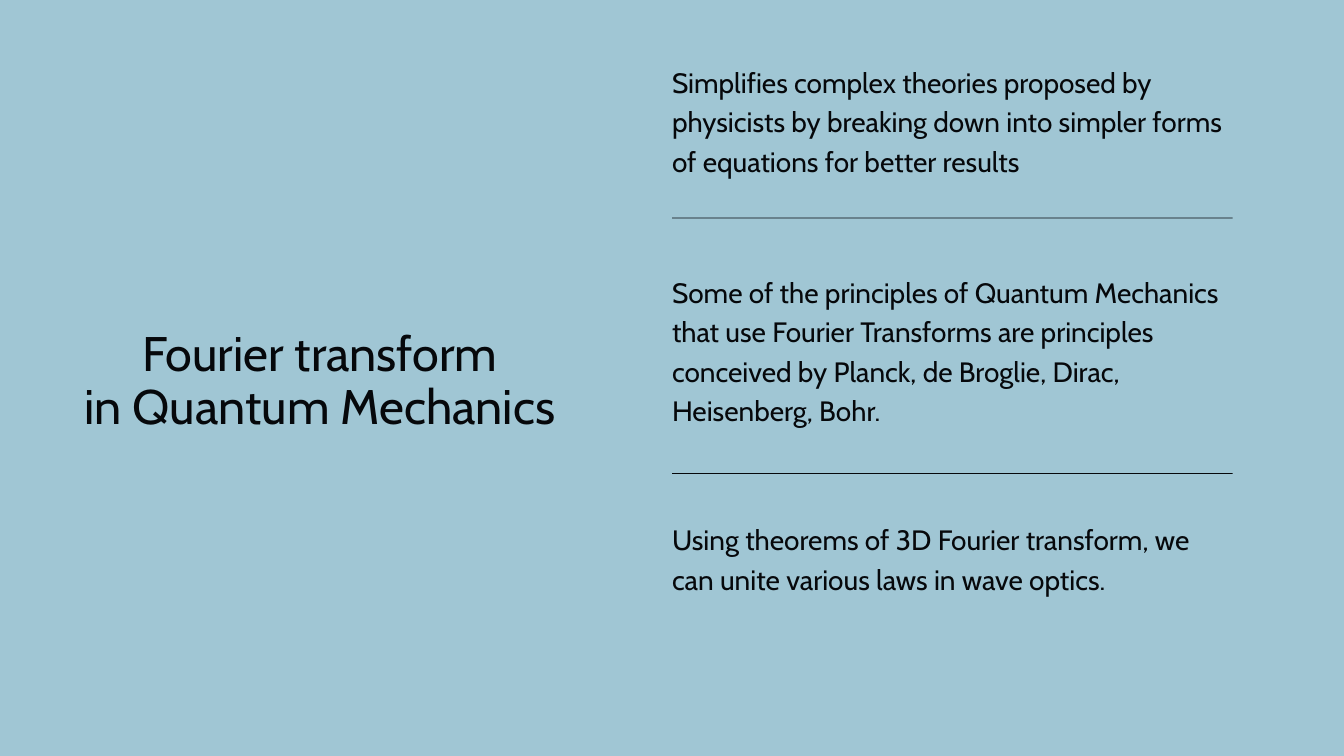
from pptx import Presentation
from pptx import util as u
from pptx.dml.color import RGBColor
from pptx.enum import shapes, text

PX = 9525
FONT = "Cabin"
COLORS = {"background": "A0C6D4", "ink": "06080B"}

TITLE_LINES = ["Fourier transform", "in Quantum Mechanics"]
POINTS = [
    (0, 166, "Simplifies complex theories proposed by physicists by breaking down "
             "into simpler forms of equations for better results"),
    (300, 222, "Some of the principles of Quantum Mechanics that use Fourier Transforms "
               "are principles conceived by Planck, de Broglie, Dirac, Heisenberg, Bohr."),
    (653, 110, "Using theorems of 3D Fourier transform, we can unite various laws "
               "in wave optics."),
]
DIVIDER_OFFSETS = [225, 590]


def px(length):
    return u.Emu(length * PX)


def color(name):
    return RGBColor.from_string(COLORS[name])


def write_text(box, lines, size, leading, align=text.PP_ALIGN.LEFT):
    frame = box.text_frame
    frame.word_wrap = True
    frame.auto_size = text.MSO_AUTO_SIZE.NONE
    frame.vertical_anchor = text.MSO_ANCHOR.TOP
    frame.margin_left = frame.margin_right = 0
    frame.margin_top = frame.margin_bottom = 0
    for index, line in enumerate(lines):
        para = frame.paragraphs[0] if index == 0 else frame.add_paragraph()
        para.alignment = align
        para.line_spacing = u.Pt(leading)
        para.space_before = para.space_after = u.Pt(0)
        span = para.add_run()
        span.text = line
        span.font.name = FONT
        span.font.size = u.Pt(size)
        span.font.color.rgb = color("ink")


def add_title(page, left, top, width, height):
    box = page.shapes.title
    box.left, box.top, box.width, box.height = map(px, (left, top, width, height))
    write_text(box, TITLE_LINES, size=52, leading=57.2, align=text.PP_ALIGN.CENTER)


def add_points(page, left, top, width):
    for offset, height, words in POINTS:
        box = page.shapes.add_textbox(px(left), px(top + offset), px(width), px(height))
        write_text(box, [words], size=30, leading=42)
    for offset in DIVIDER_OFFSETS:
        divider = page.shapes.add_shape(
            shapes.MSO_SHAPE.RECTANGLE, px(left), px(top + offset), px(width), px(1))
        divider.shadow.inherit = False
        divider.fill.solid()
        divider.fill.fore_color.rgb = color("ink")
        divider.line.fill.background()


def main():
    deck = Presentation()
    deck.slide_width, deck.slide_height = px(1920), px(1080)
    page = deck.slides.add_slide(deck.slide_layouts.get_by_name("Title Only"))
    page.background.fill.solid()
    page.background.fill.fore_color.rgb = color("background")
    add_title(page, left=108, top=468, width=698, height=151)
    add_points(page, left=960, top=86, width=801)
    deck.save("out.pptx")


if __name__ == "__main__":
    main()
